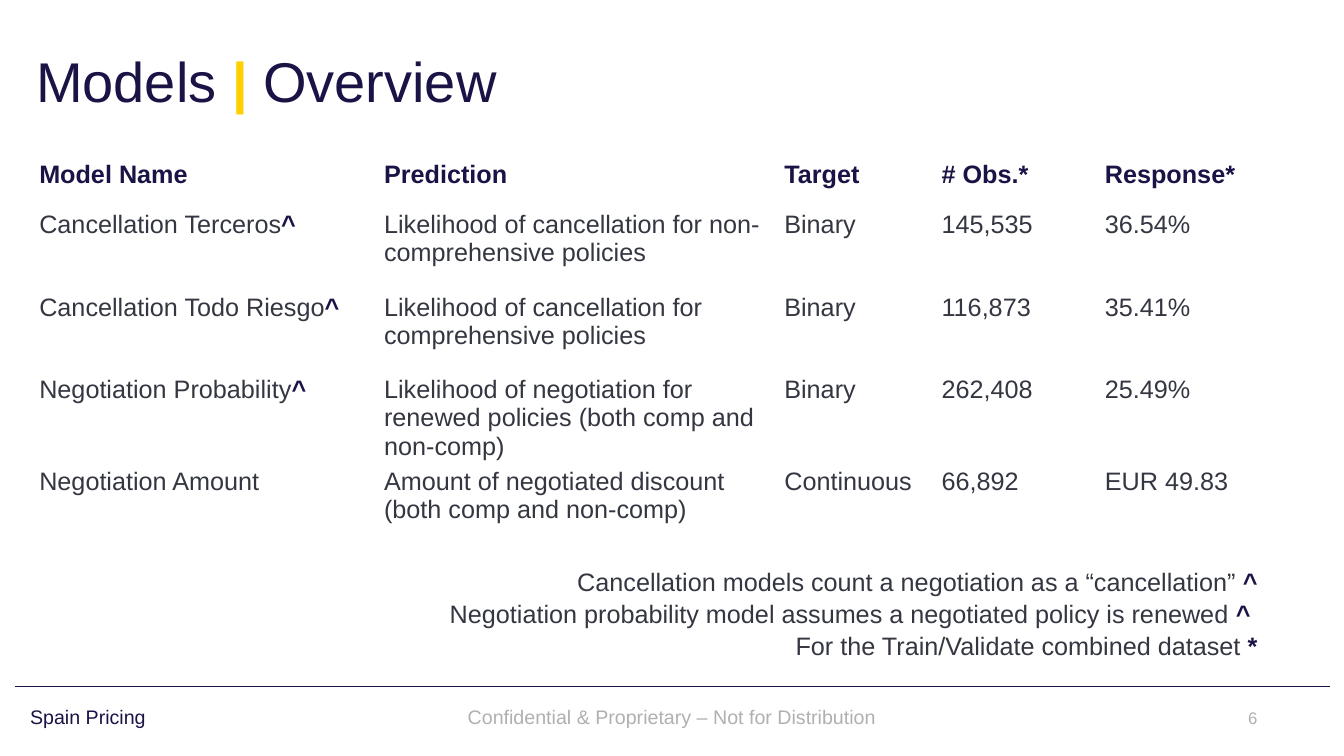
from lxml.etree import SubElement
from pptx import Presentation
from pptx.dml.color import RGBColor
from pptx.enum.shapes import MSO_CONNECTOR
from pptx.enum.text import MSO_ANCHOR, PP_ALIGN
from pptx.oxml.ns import qn
from pptx.util import Inches, Pt

FONT = "Arial"
NAVY, YELLOW, BODY, MUTED = "1A1446", "FFD000", "343741", "B0B0B0"

COLUMN_WIDTHS = [3.42, 3.97, 1.56, 1.62, 1.62]
HEADER_HEIGHT, ROW_HEIGHT = 0.7, 0.82
HEADERS = ["Model Name", "Prediction", "Target", "# Obs.*", "Response*"]
# The second value is the footnote mark set after the model name.
MODELS = [
    ("Cancellation Terceros", "^",
     "Likelihood of cancellation for non-comprehensive policies",
     "Binary", "145,535", "36.54%"),
    ("Cancellation Todo Riesgo", "^",
     "Likelihood of cancellation for comprehensive policies",
     "Binary", "116,873", "35.41%"),
    ("Negotiation Probability", "^",
     "Likelihood of negotiation for renewed policies (both comp and non-comp)",
     "Binary", "262,408", "25.49%"),
    ("Negotiation Amount", "",
     "Amount of negotiated discount (both comp and non-comp)",
     "Continuous", "66,892", "EUR 49.83"),
]
FOOTNOTES = [
    ("Cancellation models count a negotiation as a “cancellation” ", "^"),
    ("Negotiation probability model assumes a negotiated policy is renewed ", "^ "),
    ("For the Train/Validate combined dataset ", "*"),
]


def color(hex_string):
    return RGBColor.from_string(hex_string)


def add_spans(para, size, spans):
    """Add runs given as (text, colour, bold)."""
    for text, hex_string, bold in spans:
        span = para.add_run()
        span.text = text
        span.font.name = FONT
        span.font.size = Pt(size)
        span.font.bold = bold
        span.font.color.rgb = color(hex_string)


def add_text(page, box, size, lines, align=PP_ALIGN.LEFT,
             anchor=MSO_ANCHOR.MIDDLE, spacing=0.9, before=0):
    """Add a text box whose lines are lists of spans."""
    frame = page.shapes.add_textbox(*map(Inches, box)).text_frame
    frame.word_wrap = True
    frame.vertical_anchor = anchor
    for index, spans in enumerate(lines):
        para = frame.add_paragraph() if index else frame.paragraphs[0]
        para.alignment = align
        para.line_spacing = spacing
        para.space_before = Pt(before)
        add_spans(para, size, spans)


def add_title(page, box):
    add_text(page, box, 40, [[("Models ", NAVY, False), ("|", YELLOW, True),
                              (" Overview", NAVY, False)]])


def fill_cell(cell, spans, anchor):
    cell.fill.background()
    cell.margin_left = cell.margin_right = cell.margin_top = Inches(0.01)
    cell.margin_bottom = 0
    cell.vertical_anchor = anchor
    add_spans(cell.text_frame.paragraphs[0], 18, spans)


def add_models_table(page, left, top):
    height = HEADER_HEIGHT + ROW_HEIGHT * len(MODELS)
    box = (left, top, sum(COLUMN_WIDTHS), height)
    table = page.shapes.add_table(len(MODELS) + 1, len(HEADERS),
                                  *map(Inches, box)).table
    table.first_row = table.horz_banding = False
    for column, width in zip(table.columns, COLUMN_WIDTHS):
        column.width = Inches(width)
    for index, row in enumerate(table.rows):
        row.height = Inches(ROW_HEIGHT if index else HEADER_HEIGHT)

    for index, header in enumerate(HEADERS):
        fill_cell(table.cell(0, index), [(header, NAVY, True)], MSO_ANCHOR.MIDDLE)
    for row, (name, mark, *values) in enumerate(MODELS, start=1):
        for index, text in enumerate([name, *values]):
            spans = [(text, BODY, False)]
            if index == 0 and mark:
                spans.append((mark, NAVY, True))
            fill_cell(table.cell(row, index), spans, MSO_ANCHOR.TOP)


def add_footnotes(page, box):
    lines = [[(text, BODY, False), (mark, NAVY, True)] for text, mark in FOOTNOTES]
    add_text(page, box, 18, lines, PP_ALIGN.RIGHT, MSO_ANCHOR.TOP, spacing=1.06)


def add_footer(page, left, top, width):
    """Add the rule and the three footer texts below it."""
    rule = page.shapes.add_connector(
        MSO_CONNECTOR.STRAIGHT, Inches(left), Inches(top),
        Inches(left + width), Inches(top))
    rule.line.color.rgb = color(NAVY)
    rule.line.width = Pt(1)
    SubElement(rule._element.spPr, qn("a:effectLst"))

    add_text(page, (left + 0.05, top + 0.1, 4.37, 0.42), 14,
             [[("Spain Pricing", NAVY, False)]], before=10)
    add_text(page, (left + 3.27, top + 0.11, 6.49, 0.4), 14,
             [[("Confidential & Proprietary – Not for Distribution", MUTED, False)]],
             PP_ALIGN.CENTER, before=10)
    add_text(page, (left + 11.73, top + 0.16, 0.69, 0.3), 12,
             [[("6", MUTED, False)]], PP_ALIGN.RIGHT, MSO_ANCHOR.TOP, spacing=1.0)


def main():
    deck = Presentation()
    deck.slide_width, deck.slide_height = Inches(13.33), Inches(7.5)
    page = deck.slides.add_slide(deck.slide_layouts[6])
    add_footer(page, 0.15, 6.81, 13.04)
    add_title(page, (0.26, 0.18, 12.83, 1.32))
    add_models_table(page, 0.38, 1.38)
    add_footnotes(page, (0.72, 5.55, 11.85, 1.31))
    deck.save("out.pptx")


if __name__ == "__main__":
    main()
